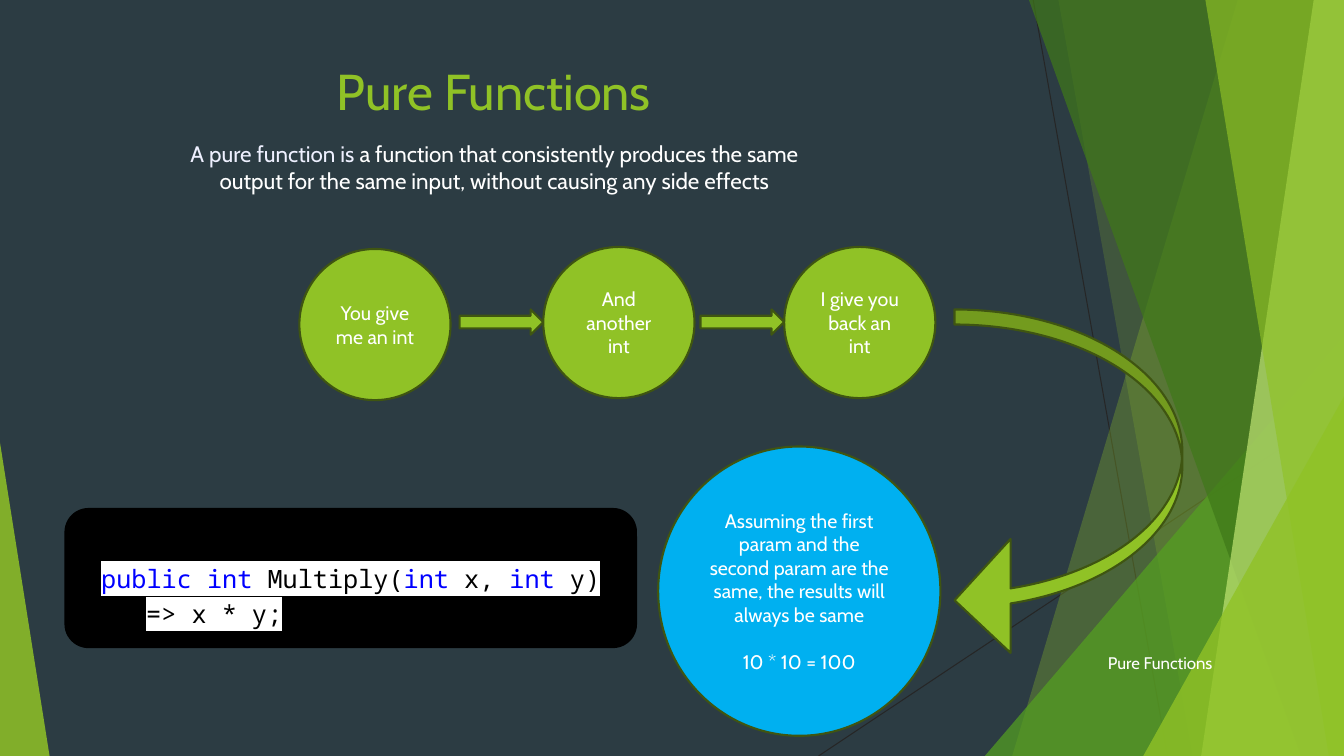
from lxml.etree import SubElement
from pptx import Presentation
from pptx.dml.color import RGBColor
from pptx.enum.shapes import MSO_CONNECTOR, MSO_SHAPE
from pptx.enum.text import MSO_ANCHOR, MSO_AUTO_SIZE, PP_ALIGN
from pptx.oxml.ns import qn
from pptx.util import Inches, Pt

COLS, ROWS = 160, 90
GREEN, EDGE, WHITE, BLACK, KEYWORD = "90C226", "3F5511", "FFFFFF", "000000", "0000FF"


def grid(*cells):
    """Convert grid cells, a twelfth of an inch each, to lengths."""
    return [Inches(c / 12) for c in cells]


def paint(target, color, alpha=None):
    """Give a fill a solid colour, with opacity in percent if given."""
    target.solid()
    target.fore_color.rgb = RGBColor.from_string(color)
    if alpha is not None:
        srgb = target._xPr.find(qn("a:solidFill"))[0]
        SubElement(srgb, qn("a:alpha")).set("val", str(alpha * 1000))


def style(sp, color, alpha=None, line=None):
    """Set the fill and outline of a shape and drop its shadow."""
    sp.shadow.inherit = False
    paint(sp.fill, color, alpha)
    if line:
        paint(sp.line.fill, line)
        sp.line.width = Pt(1.5)
    else:
        sp.line.fill.background()
    return sp


def write(sp, *paragraphs, size=14, font="Cabin", color=WHITE, align=PP_ALIGN.CENTER,
          anchor=MSO_ANCHOR.MIDDLE, gap=0, highlight=None):
    """Write paragraphs, each a string or a list of (text, colour) runs."""
    tf = sp.text_frame
    tf.word_wrap, tf.auto_size, tf.vertical_anchor = True, MSO_AUTO_SIZE.NONE, anchor
    for i, content in enumerate(paragraphs):
        p = tf.add_paragraph() if i else tf.paragraphs[0]
        pPr = p._p.get_or_add_pPr()
        pPr.set("marL", "0")
        pPr.set("indent", "0")
        p.alignment = align
        p.space_before = Pt(gap if i else 0)
        SubElement(pPr, qn("a:buNone"))
        for text, ink in [(content, color)] if isinstance(content, str) else content:
            r = p.add_run()
            r.text = text
            r.font.size, r.font.name = Pt(size), font
            r.font.color.rgb = RGBColor.from_string(ink)
            if highlight:
                rPr = r._r.get_or_add_rPr()
                mark = SubElement(rPr, qn("a:highlight"))
                SubElement(mark, qn("a:srgbClr")).set("val", highlight)
                rPr.find(qn("a:solidFill")).addnext(mark)


def add_shape(s, kind, box, color, alpha=None, line=None, adjust=()):
    """Add a styled preset shape in a grid box."""
    sp = s.shapes.add_shape(kind, *grid(*box))
    for i, value in enumerate(adjust):
        sp.adjustments[i] = value
    return style(sp, color, alpha, line)


def backdrop(s, box):
    """Draw the thin lines and translucent panes along the slide edges."""
    x, y, w, h = box
    right, bottom = x + w, y + h
    for ends in [(x + 123, y, x + 139, bottom), (right, y + 48.36, x + 97.44, bottom)]:
        cn = s.shapes.add_connector(MSO_CONNECTOR.STRAIGHT, *grid(*ends))
        paint(cn.line.fill, "262626")
        cn.line.width = Pt(0.75)
        SubElement(cn._element.spPr, qn("a:effectLst"))

    def pane(top, foot, color, alpha):
        """Draw a pane from a slanted left side to the right edge."""
        start, *rest = [grid(*pt) for pt in [(x + top, y), (right, y), (right, bottom),
                                             (x + foot, bottom)]]
        fb = s.shapes.build_freeform(*start)
        fb.add_line_segments(rest)
        style(fb.convert_to_shape(), color, alpha)

    def corner(left, top, width, apex, color, alpha):
        """Draw a right-angled triangle standing on the bottom edge."""
        add_shape(s, MSO_SHAPE.ISOSCELES_TRIANGLE, (x + left, y + top, width, h - top),
                  color, alpha, adjust=[apex])

    pane(147.36, 120.5, GREEN, 30)
    pane(126, 142, GREEN, 20)
    corner(117.24, 40, 42.76, 1, "54A021", 72)
    pane(122.5, 154.9, "3F7819", 70)
    pane(156.4, 143, "C0E474", 70)
    pane(143.5, 158.2, GREEN, 65)
    corner(136.1, 47.2, 23.9, 1, GREEN, 80)
    corner(0, 52.7, 5.9, 0, GREEN, 85)


def place(s, ph, box, *paragraphs, **fmt):
    """Move a placeholder in front of the backdrop and fill it."""
    s.shapes._spTree.append(ph._element)
    ph.left, ph.top, ph.width, ph.height = grid(*box)
    write(ph, *paragraphs, **fmt)


def flow(s, box):
    """Draw the circles for the inputs and output, joined by arrows."""
    x, y, w, d = box
    steps = [("You give me an int", 0, 0.24), ("And another int", 29.04, 0),
             ("I give you back an int", w - d, 0)]
    for i, (text, left, top) in enumerate(steps):
        sp = add_shape(s, MSO_SHAPE.OVAL, (x + left, y + top, d, d), GREEN, line=EDGE)
        write(sp, text)
        if i:
            add_shape(s, MSO_SHAPE.RIGHT_ARROW, (x + left - 9.96, y + 7.44, 9.96, 3),
                      GREEN, line=EDGE)


def result(s, box):
    """Draw the result circle and the curved arrow leading to it."""
    x, y, w, h = box
    sp = add_shape(s, MSO_SHAPE.OVAL, (x, y + h - 34.44, 33.6, 34.44), "00B0F0", line=EDGE)
    write(sp, "Assuming the first param and the second param are the same, "
              "the results will always be same", "10 * 10 = 100", gap=17)
    add_shape(s, MSO_SHAPE.CURVED_LEFT_ARROW, (x + w - 27.12, y, 27.12, 41.4), GREEN,
              line=EDGE, adjust=[0.066, 0.5, 0.246])


def code(s, box):
    """Draw the code panel with its two highlighted lines."""
    x, y, w, h = box
    fmt = dict(size=18, font="Noto Sans Mono", color=BLACK, highlight=WHITE)
    sp = add_shape(s, MSO_SHAPE.ROUNDED_RECTANGLE, box, BLACK, line=BLACK)
    write(sp, [("public", KEYWORD), (" ", BLACK), ("int", KEYWORD), (" Multiply(", BLACK),
               ("int", KEYWORD), (" x, ", BLACK), ("int", KEYWORD), (" y)", BLACK)], **fmt)
    tb = s.shapes.add_textbox(*grid(x + 3.84, y + h - 6.36, 27.72, 6.36))
    write(tb, "=> x * y;", anchor=MSO_ANCHOR.TOP, **fmt)


def main():
    """Build and save the slide."""
    prs = Presentation()
    prs.slide_width, prs.slide_height = grid(COLS, ROWS)
    s = prs.slides.add_slide(prs.slide_layouts[3])
    paint(s.background.fill, "2C3C43")
    title, summary, footer = s.placeholders
    backdrop(s, (0, 0, COLS, ROWS))
    place(s, title, (0, -1.44, 117.6, 16.44), "Pure Functions", size=36, color=GREEN,
          anchor=MSO_ANCHOR.BOTTOM)
    place(s, summary, (18.6, 16.08, 80.52, 27.72),
          [("A pure function is ", "EEF0FF"),
           ("a function that consistently produces the same output for the same input, "
            "without causing any side effects", WHITE)], size=16, anchor=MSO_ANCHOR.TOP)
    flow(s, (35.64, 29.4, 75.72, 18))
    result(s, (78.36, 36.84, 62.4, 50.76))
    code(s, (7.8, 60.6, 67.92, 16.44))
    place(s, footer, (65.04, 77.16, 80.52, 3.6), "Pure Functions", size=12,
          align=PP_ALIGN.RIGHT)
    prs.save("out.pptx")


if __name__ == "__main__":
    main()
